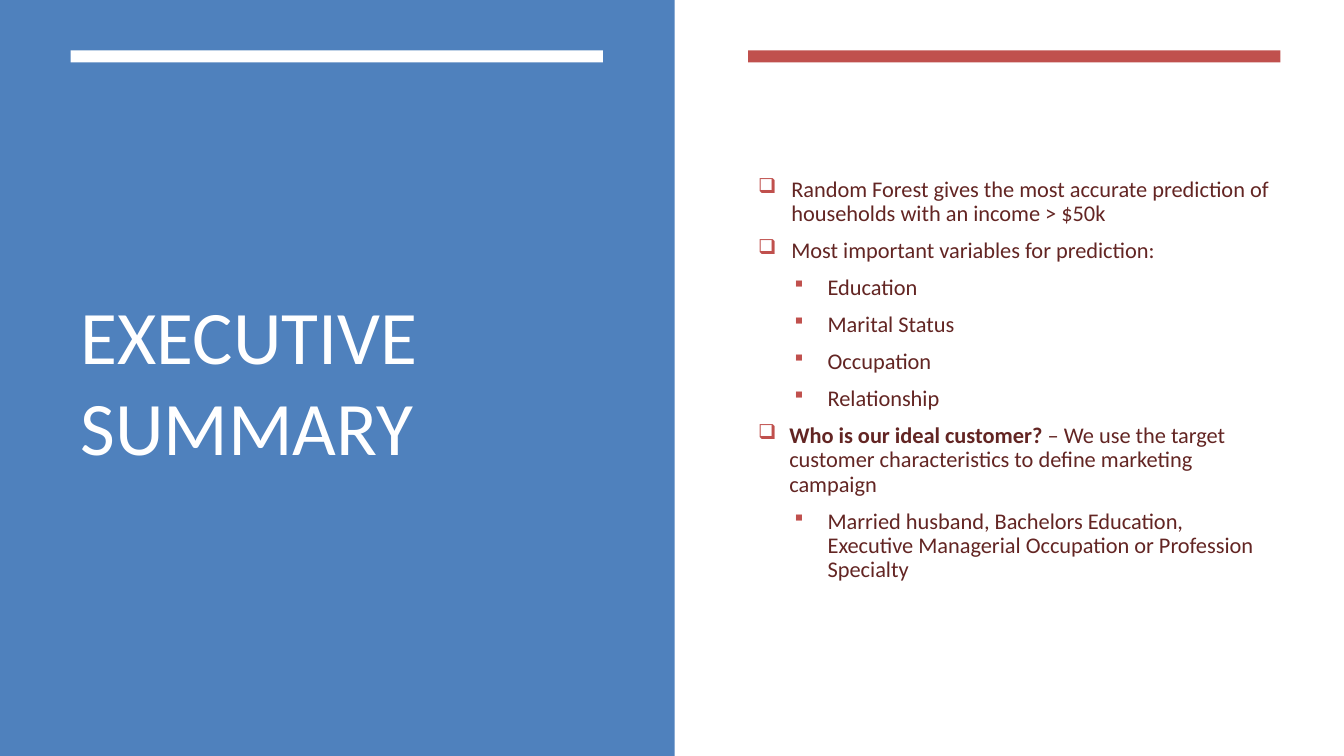
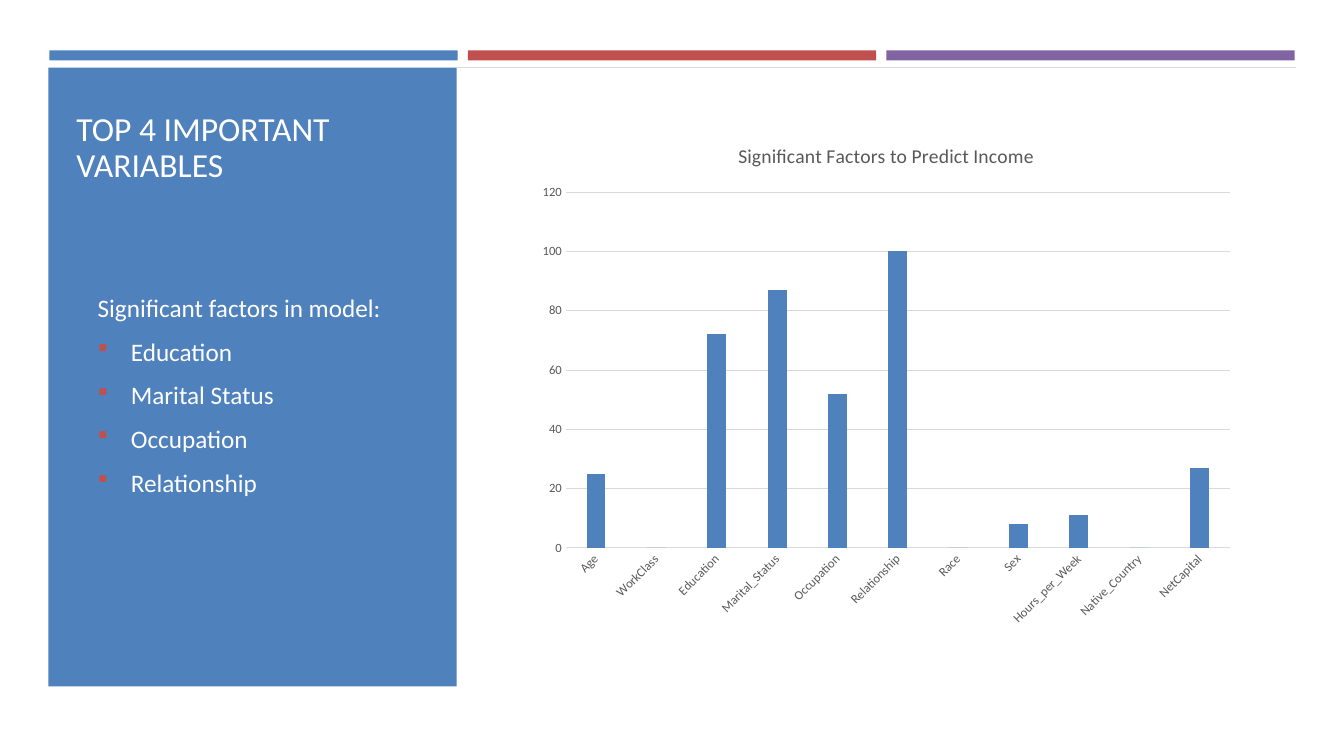
"""Build two slides on the factors that predict household income."""
import dataclasses
import pptx
import pptx.chart.data
import pptx.dml.color
import pptx.enum.chart
import pptx.enum.shapes
import pptx.enum.text
import pptx.oxml.ns
import pptx.util
import lxml.etree

Inches, Pt = pptx.util.Inches, pptx.util.Pt
Anchor = pptx.enum.text.MSO_ANCHOR


@dataclasses.dataclass(frozen=True)
class Theme:
    """Colours, fonts and type sizes."""
    font: str = "Calibri"
    signs: str = "Wingdings"
    blue: str = "4F81BD"
    red: str = "C0504D"
    plum: str = "8064A2"
    green: str = "9BBB59"
    wine: str = "632523"
    white: str = "FFFFFF"
    gray: str = "595959"
    pale: str = "D9D9D9"
    hero: int = 54
    head: int = 24
    body: int = 18
    note: int = 16
    chart: int = 14
    tick: int = 9


theme = Theme()
BOX, DOT = "q", "§"
top = ["Education", "Marital Status", "Occupation", "Relationship"]

summary = [
    (BOX, 0.33, 0.33, [("Random Forest gives the most accurate prediction of "
                        "households with an income > $50k", False)]),
    (BOX, 0.33, 0.33, [("Most important variables for prediction:", False)]),
    *[(DOT, 0.69, 0.33, [(name, False)]) for name in top],
    (BOX, 0.31, 0.31, [("Who is our ideal customer? ", True),
                       ("– We use the target customer characteristics to "
                        "define marketing campaign", False)]),
    (DOT, 0.69, 0.33, [("Married husband, Bachelors Education, Executive "
                        "Managerial Occupation or Profession Specialty", False)]),
]
factors = [
    (None, 0, 0, [("Significant factors in model:", False)]),
    *[(DOT, 0.33, 0.33, [(name, False)]) for name in top],
]
names = ["Age", "WorkClass", "Education", "Marital_Status", "Occupation",
         "Relationship", "Race", "Sex", "Hours_per_Week", "Native_Country",
         "NetCapital"]
series = [
    ("Series 1", theme.blue, []),
    ("Series 2", theme.red, []),
    ("Series 3", theme.green, []),
    ("Series 4", theme.blue, [25, 0, 72, 87, 52, 100, 0, 8, 11, 0, 27]),
]


def rgb(code):
    return pptx.dml.color.RGBColor.from_string(code)


def style(font, size, color, bold=False):
    font.name, font.size, font.bold = theme.font, Pt(size), bold
    font.color.rgb = rgb(color)


def band(slide, left, y, width, height, color):
    shape = slide.shapes.add_shape(
        pptx.enum.shapes.MSO_SHAPE.RECTANGLE, *map(Inches, (left, y, width, height)))
    shape.shadow.inherit = False
    shape.fill.solid()
    shape.fill.fore_color.rgb = rgb(color)
    shape.line.fill.background()


def rule(slide, left, right, y, color):
    line = slide.shapes.add_connector(
        pptx.enum.shapes.MSO_CONNECTOR.STRAIGHT,
        *map(Inches, (left, y, right, y)))
    line.line.color.rgb, line.line.width = rgb(color), Pt(0.5)
    lxml.etree.SubElement(line._element.spPr, pptx.oxml.ns.qn("a:effectLst"))


def mark(par, sign, left, hang):
    props = par._p.get_or_add_pPr()
    props.set("marL", str(Inches(left)))
    props.set("indent", str(-Inches(hang)))

    def add(parent, tag, **values):
        return lxml.etree.SubElement(parent, pptx.oxml.ns.qn(tag), values)

    add(add(props, "a:buClr"), "a:srgbClr", val=theme.red)
    add(props, "a:buSzPct", val="92000")
    add(props, "a:buFont", typeface=theme.signs, pitchFamily="2", charset="2")
    add(props, "a:buChar", char=sign)


def write(slide, place, points, size, color, anchor=Anchor.MIDDLE, lead=1.0, gap=True):
    frame = slide.shapes.add_textbox(*map(Inches, place)).text_frame
    frame.word_wrap, frame.vertical_anchor = True, anchor
    for i, (sign, left, hang, runs) in enumerate(points):
        par = frame.add_paragraph() if i else frame.paragraphs[0]
        if sign:
            mark(par, sign, left, hang)
        par.line_spacing = lead
        if gap:
            par.space_before, par.space_after = Pt(0.2 * size), Pt(6)
        for text, bold in runs:
            run = par.add_run()
            run.text = text
            style(run.font, size, color, bold)


def title(slide, place, text, size, anchor=Anchor.MIDDLE, lead=1.0):
    write(slide, place, [(None, 0, 0, [(text, False)])], size, theme.white,
          anchor, lead, gap=False)


def plot(slide, place, head, names, series):
    data = pptx.chart.data.CategoryChartData()
    data.categories = names
    for name, _, values in series:
        data.add_series(name, values)
    kinds = pptx.enum.chart
    chart = slide.shapes.add_chart(
        kinds.XL_CHART_TYPE.COLUMN_CLUSTERED, *map(Inches, place), data).chart
    chart.has_legend = False
    style(chart.font, theme.tick, theme.gray)
    chart.has_title = True
    chart.chart_title.include_in_layout = False
    run = chart.chart_title.text_frame.paragraphs[0].add_run()
    run.text = head
    style(run.font, theme.chart, theme.gray)

    bars = chart.plots[0]
    bars.gap_width, bars.overlap, bars.vary_by_categories = 219, -27, False
    for item, (_, color, _) in zip(bars.series, series):
        item.format.fill.solid()
        item.format.fill.fore_color.rgb = rgb(color)

    across, up = chart.category_axis, chart.value_axis
    for axis in (across, up):
        axis.major_tick_mark = axis.minor_tick_mark = kinds.XL_TICK_MARK.NONE
        style(axis.tick_labels.font, theme.tick, theme.gray)
        axis._element.xpath("c:txPr/a:bodyPr")[0].set("rot", "-60000000")
    up.format.line.fill.background()
    up.has_major_gridlines = True
    for line in (across.format.line, up.major_gridlines.format.line):
        line.color.rgb, line.width = rgb(theme.pale), Pt(0.75)


deck = pptx.Presentation()
deck.slide_width, deck.slide_height = Inches(13.33), Inches(7.5)
blank = deck.slide_layouts[6]

slide = deck.slides.add_slide(blank)
band(slide, 0, 0, 6.69, 7.5, theme.blue)
for left, color in ((0.7, theme.white), (7.42, theme.red)):
    band(slide, left, 0.5, 5.28, 0.12, color)
title(slide, (0.7, 1.13, 5.28, 5.28), "EXECUTIVE SUMMARY", theme.hero)
write(slide, (7.42, 1.13, 5.31, 5.28), summary, theme.note, theme.wine, lead=0.9)

slide = deck.slides.add_slide(blank)
for i, color in enumerate((theme.blue, theme.red, theme.plum)):
    band(slide, 0.49 + i * 4.15, 0.5, 4.05, 0.1, color)
rule(slide, 4.53, 12.85, 0.67, theme.pale)
band(slide, 0.48, 0.67, 4.05, 6.14, theme.blue)
title(slide, (0.66, 0.77, 3.73, 1.11), "TOP 4 IMPORTANT VARIABLES",
      theme.head, Anchor.BOTTOM, 0.9)
write(slide, (0.87, 1.71, 3.73, 4.41), factors, theme.body, theme.white)
plot(slide, (5.24, 1.22, 7.1, 5.09), "Significant Factors to Predict Income",
     names, series)

deck.save("out.pptx")
